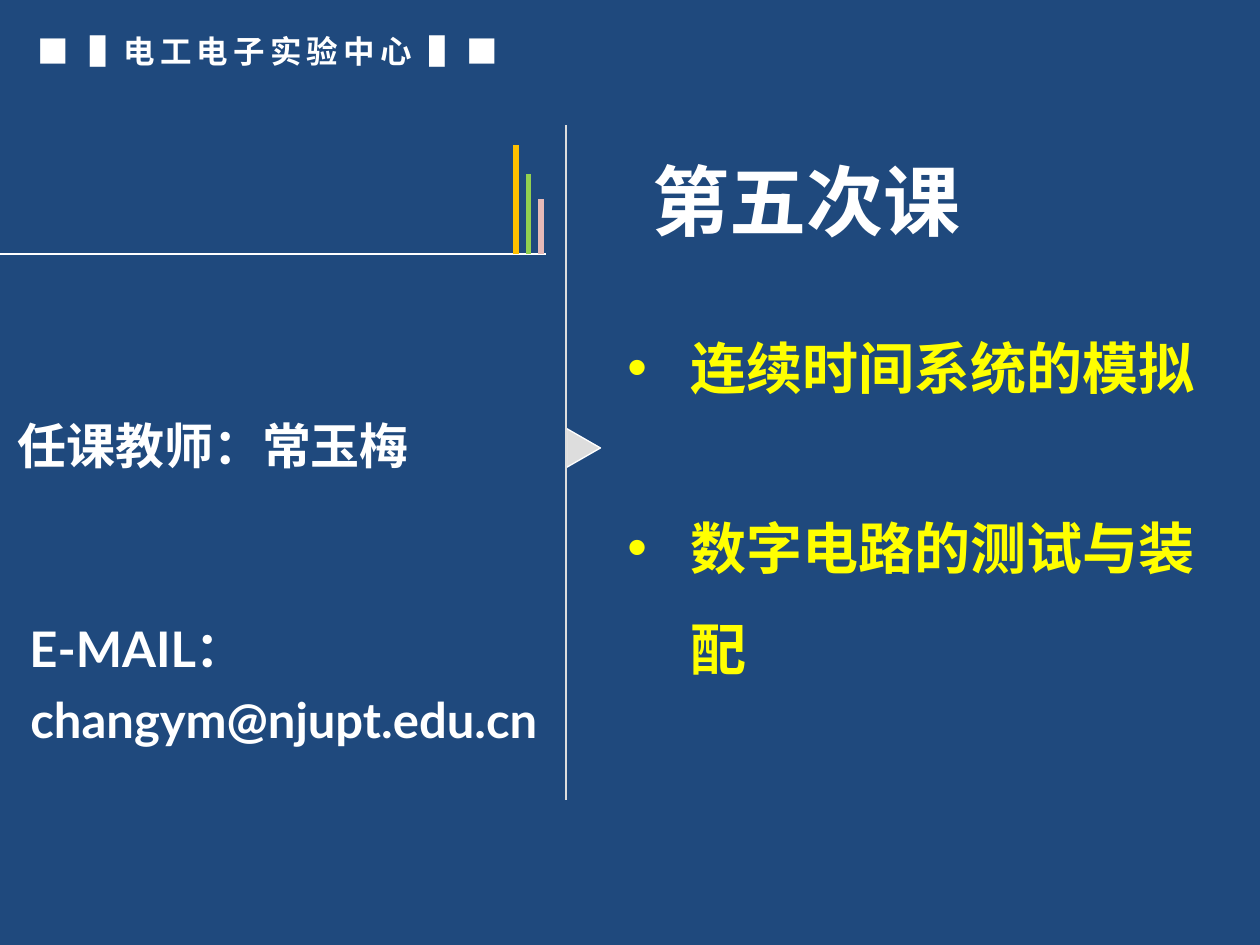
from lxml import etree
from pptx import Presentation
from pptx.dml.color import RGBColor
from pptx.enum import shapes, text
from pptx.oxml.ns import qn
from pptx import util as u

COLOURS = {"back": "1F497D", "white": "FFFFFF", "grey": "DDDDDD", "yellow": "FFFF00",
           "amber": "FFC000", "green": "92D050", "pink": "E6B9B8"}
CJK = "Noto Sans CJK SC"
SERIF = "Times New Roman"


def px(length):
    """Turn px into EMU at 126 px to the inch."""
    return u.Emu(round(length * 914400 / 126))


def colour(name):
    """Look up a colour by name."""
    return RGBColor.from_string(COLOURS[name])


def add_line(page, start, end, shade, points):
    """Draw a straight line without a shadow."""
    line = page.shapes.add_connector(shapes.MSO_CONNECTOR.STRAIGHT, *map(px, start + end))
    line.line.color.rgb = colour(shade)
    line.line.width = u.Pt(points)
    etree.SubElement(line._element.spPr, qn("a:effectLst"))


def add_box(page, left, top, width, height, wrap=True):
    """Add an empty text box and return its frame."""
    frame = page.shapes.add_textbox(*map(px, (left, top, width, height))).text_frame
    frame.word_wrap = wrap
    return frame


def set_typeface(font, name):
    """Set the Latin face, with the Chinese face beside it."""
    font.name = name
    etree.SubElement(font._element, qn("a:ea"), typeface=CJK)


def style(para, size, shade="white", name=None):
    """Set the bold font that all runs of a paragraph share."""
    para.font.size = u.Pt(size)
    para.font.bold = True
    para.font.color.rgb = colour(shade)
    if name:
        set_typeface(para.font, name)


def set_indent(para, left, first):
    """Set the left margin and first-line indent."""
    properties = para._p.get_or_add_pPr()
    properties.set("marL", str(px(left)))
    properties.set("indent", str(px(first)))
    return properties


def add_header(page, left, top, width, height):
    """Place the letter-spaced name of the centre."""
    para = add_box(page, left, top, width, height).paragraphs[0]
    style(para, 18)
    for words, face in (("■▐ ", SERIF), ("电工电子实验中心 ", CJK), ("▌■", SERIF)):
        span = para.add_run()
        span.text = words
        set_typeface(span.font, face)
        span.font._element.set("spc", "300")


def add_divider(page, left, top, height):
    """Place the upright rule and its pointer."""
    pointer = page.shapes.add_shape(shapes.MSO_SHAPE.ISOSCELES_TRIANGLE,
                                    *map(px, (left - 2, top + 306, 39, 34)))
    pointer.rotation = 90
    pointer.shadow.inherit = False
    pointer.fill.solid()
    pointer.fill.fore_color.rgb = colour("grey")
    pointer.line.color.rgb = colour("white")
    pointer.line.width = u.Pt(0.75)
    add_line(page, (left, top), (left, top + height), "grey", 0.75)


def add_bars(page, left, base, width):
    """Place the level rule with three bars standing on it."""
    add_line(page, (left, base), (left + width, base), "white", 0.75)
    bars = (("amber", 109), ("green", 80), ("pink", 55))
    for index, (shade, height) in enumerate(bars):
        across = left + width - 30 + 12.5 * (index - 0)
        add_line(page, (across, base), (across, base - height), shade, 3)


def add_lesson(page, left, top, width, height):
    """Place the lesson number above its topics."""
    title = add_box(page, left + 25, top, 338, 106, wrap=False).paragraphs[0]
    title.text = "第五次课"
    style(title, 44, name=CJK)
    frame = add_box(page, left, top + 147, width, height - 147)
    for index, topic in enumerate(("连续时间系统的模拟", "数字电路的测试与装配")):
        para = frame.add_paragraph() if index else frame.paragraphs[0]
        para.text = topic
        para.line_spacing = 1.5
        if index:
            para.space_before = u.Pt(45)
        properties = set_indent(para, 63, -63)
        etree.SubElement(properties, qn("a:buFont"), typeface="Arial")
        etree.SubElement(properties, qn("a:buChar"), char="•")
        style(para, 32, "yellow", "Calibri")


def add_teacher(page, left, top, width):
    """Place the teacher's name above the e-mail address."""
    frame = add_box(page, left, top, width, 84)
    frame.vertical_anchor = text.MSO_ANCHOR.MIDDLE
    name = frame.paragraphs[0]
    name.text = "任课教师：常玉梅"
    style(name, 28, name="Lato")
    mail = add_box(page, left, top + 198, width, 155).paragraphs[0]
    mail.text = "E-MAIL：changym@njupt.edu.cn"
    mail.line_spacing = 1.2
    set_indent(mail, 13, -1)
    style(mail, 28, name="Lato")


def main():
    """Build the slide and save it."""
    deck = Presentation()
    deck.slide_width, deck.slide_height = px(1260), px(945)
    page = deck.slides.add_slide(deck.slide_layouts[6])
    page.background.fill.solid()
    page.background.fill.fore_color.rgb = colour("back")
    add_header(page, 25, 26, 508, 50)
    add_divider(page, 566, 125, 675)
    add_bars(page, 0, 254, 546)
    add_lesson(page, 615, 147, 596, 632)
    add_teacher(page, 5, 403, 586)
    deck.save("out.pptx")


if __name__ == "__main__":
    main()
